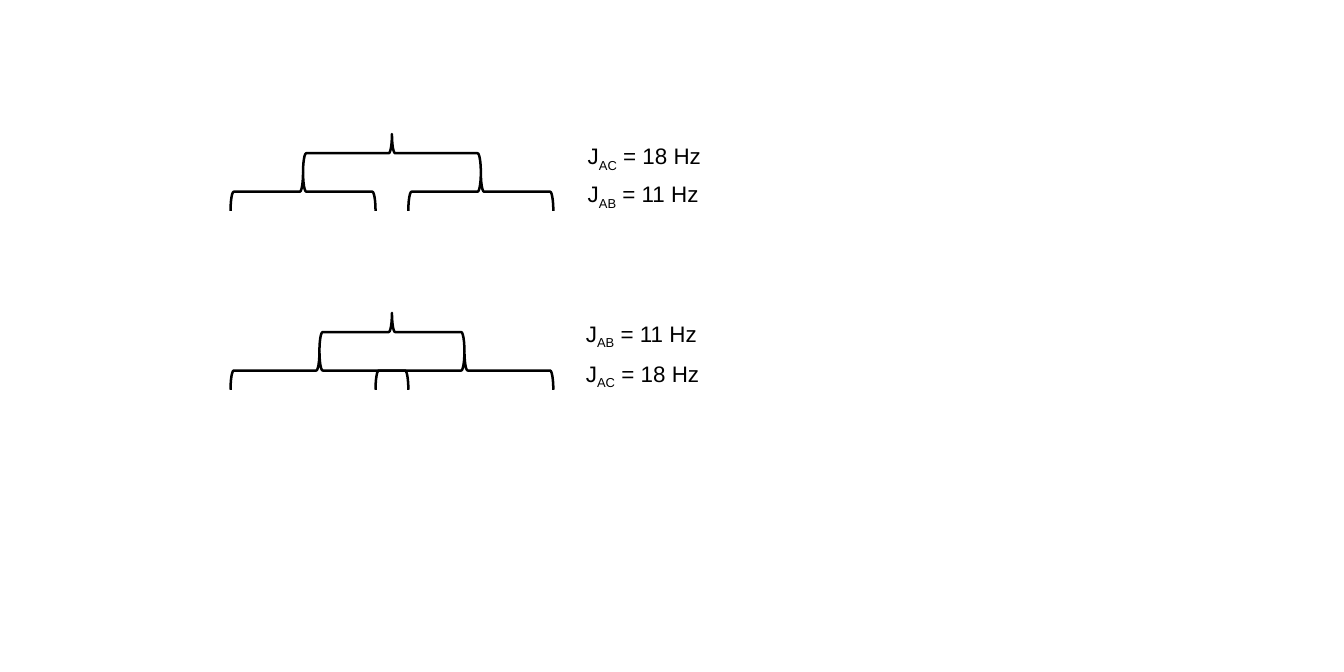
import dataclasses

import pptx
import pptx.dml.color
import pptx.enum.shapes
import pptx.enum.text
import pptx.util

Cm = pptx.util.Cm


@dataclasses.dataclass(frozen=True)
class Theme:
    ink: pptx.dml.color.RGBColor = pptx.dml.color.RGBColor(0, 0, 0)
    font: str = "Arial"
    text_size: int = 18
    line_width: int = 2


THEME = Theme()
BRACE_HEIGHT = 1.09
LABEL_WIDTH, LABEL_HEIGHT = 9.14, 1.12
# Coupling name: (drawn splitting in cm, frequency shown)
COUPLINGS = {"AC": (5.04, "18 Hz"), "AB": (4.11, "11 Hz")}


def add_run(p, text, *, size=THEME.text_size, color=THEME.ink, subscript=False):
    r = p.add_run()
    r.text = text
    r.font.name = THEME.font
    r.font.size = pptx.util.Pt(size)
    r.font.color.rgb = color
    if subscript:
        r.font._element.set("baseline", "-25000")


def add_brace(slide, center, top, width):
    """Draw a brace pointing up, with its tip at (center, top)."""
    # A left brace is turned a quarter, so its unrotated box is tall.
    sp = slide.shapes.add_shape(
        pptx.enum.shapes.MSO_SHAPE.LEFT_BRACE,
        Cm(center - BRACE_HEIGHT / 2), Cm(top + BRACE_HEIGHT / 2 - width / 2),
        Cm(BRACE_HEIGHT), Cm(width))
    sp.rotation = 90
    sp.shadow.inherit = False
    sp.fill.background()
    sp.line.color.rgb = THEME.ink
    sp.line.width = pptx.util.Pt(THEME.line_width)


def add_label(slide, left, top, coupling):
    sp = slide.shapes.add_textbox(
        Cm(left), Cm(top), Cm(LABEL_WIDTH), Cm(LABEL_HEIGHT))
    tf = sp.text_frame
    tf.word_wrap = True
    tf.auto_size = pptx.enum.text.MSO_AUTO_SIZE.SHAPE_TO_FIT_TEXT
    p = tf.paragraphs[0]
    add_run(p, "J")
    add_run(p, coupling, subscript=True)
    add_run(p, f" = {COUPLINGS[coupling][1]}")


def add_splitting_tree(slide, center, top, first, second):
    """Split by the first coupling, then each branch by the second."""
    first_width, second_width = COUPLINGS[first][0], COUPLINGS[second][0]
    add_brace(slide, center, top, first_width)
    for side in (-1, 1):
        add_brace(slide, center + side * first_width / 2,
                  top + BRACE_HEIGHT, second_width)


def add_labels(slide, left, top, pitch, couplings):
    for row, coupling in enumerate(couplings):
        add_label(slide, left, top + row * pitch, coupling)


def main():
    prs = pptx.Presentation()
    prs.slide_width, prs.slide_height = Cm(38.1), Cm(19.05)
    slide = prs.slides.add_slide(prs.slide_layouts[6])

    add_splitting_tree(slide, 11.11, 3.8, "AC", "AB")
    add_labels(slide, 16.41, 3.91, 1.07, ("AC", "AB"))

    add_splitting_tree(slide, 11.11, 8.87, "AB", "AC")
    add_labels(slide, 16.36, 8.94, 1.14, ("AB", "AC"))

    prs.save("out.pptx")


if __name__ == "__main__":
    main()
